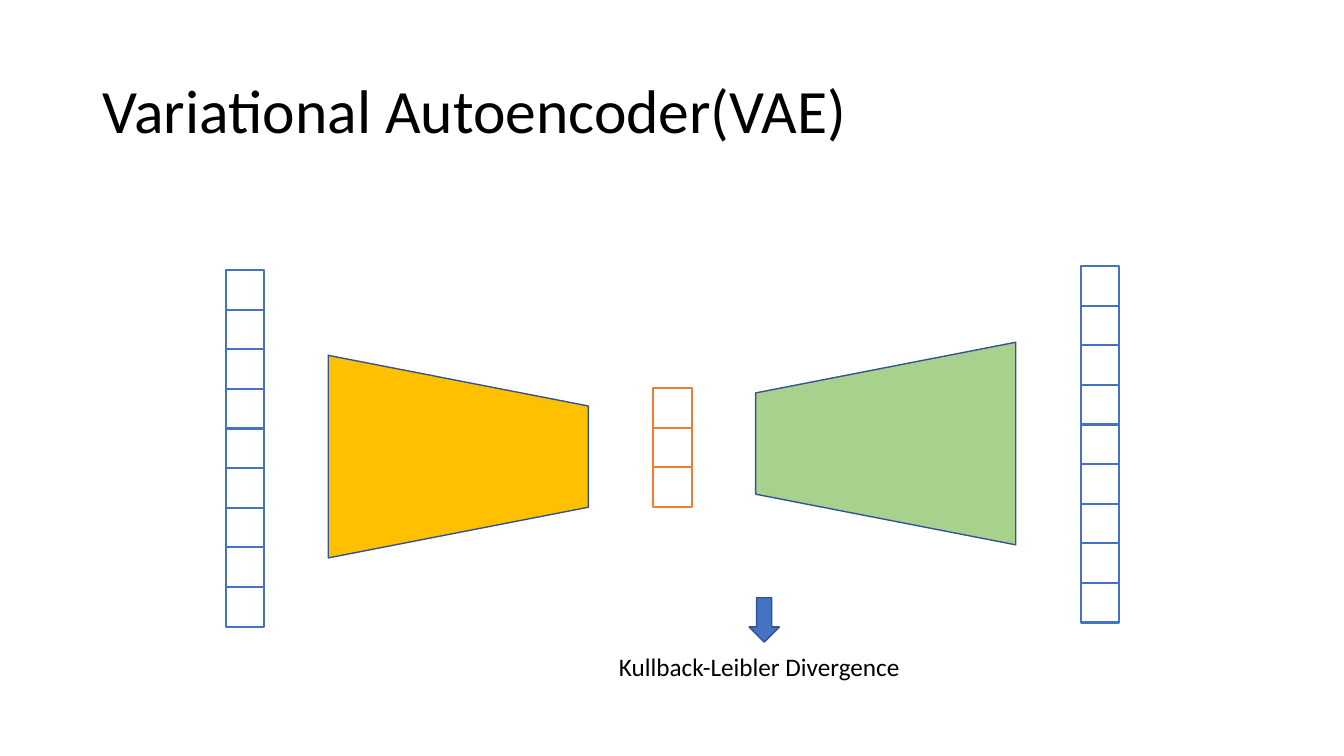
from pptx import Presentation
from pptx.dml.color import RGBColor
from pptx.enum import shapes, text
from pptx.util import Inches, Pt

TITLE = "Variational Autoencoder(VAE)"
LABEL = "Kullback-Leibler Divergence"
HUES = {"ink": "000000", "paper": "FFFFFF", "blue": "4472C4", "navy": "325491",
        "orange": "ED7D31", "gold": "FFC000", "green": "A9D18E"}
CELL_W, CELL_H = 0.38, 0.393

# left, top, cell count, line colour
VECTORS = [(6.48, 3.85, 3, "orange"),
           (2.24, 2.68, 9, "blue"),
           (10.72, 2.64, 9, "blue")]
# left, top, rotation, fill
CODERS = [(3.54, 3.24, 90, "gold"),
          (7.78, 3.11, 270, "green")]
CODER_SIZE = (2.01, 2.58)

KIND = shapes.MSO_SHAPE


def color(name):
    return RGBColor.from_string(HUES[name])


def place(item, box):
    item.left, item.top, item.width, item.height = map(Inches, box)


def write(frame, words, size, spacing=None, anchor=None, wrap=True):
    frame.word_wrap = wrap
    frame.vertical_anchor = anchor
    para = frame.paragraphs[0]
    para.line_spacing = spacing
    para.alignment = text.PP_ALIGN.LEFT
    run = para.add_run()
    run.text = words
    run.font.size = Pt(size)
    run.font.name = "Calibri"
    run.font.color.rgb = color("ink")


def draw(slide, kind, box, fill, line="navy", weight=1, turn=0):
    item = slide.shapes.add_shape(kind, *map(Inches, box))
    item.shadow.inherit = False
    item.fill.solid()
    item.fill.fore_color.rgb = color(fill)
    item.line.color.rgb = color(line)
    item.line.width = Pt(weight)
    item.rotation = turn


def main():
    deck = Presentation()
    deck.slide_width, deck.slide_height = Inches(13.33), Inches(7.5)
    slide = deck.slides.add_slide(deck.slide_layouts[5])

    title = slide.shapes.title
    place(title, (0.92, 0.4, 11.5, 1.45))
    write(title.text_frame, TITLE, 44, spacing=0.9, anchor=text.MSO_ANCHOR.MIDDLE)

    for left, top, turn, fill in CODERS:
        draw(slide, KIND.TRAPEZOID, (left, top, *CODER_SIZE), fill, turn=turn)

    for left, top, count, line in VECTORS:
        for row in range(count):
            box = (left, top + row * CELL_H, CELL_W, CELL_H)
            draw(slide, KIND.RECTANGLE, box, "paper", line, 1.5)

    draw(slide, KIND.DOWN_ARROW, (7.43, 5.93, 0.3, 0.44), "blue")
    label = slide.shapes.add_textbox(*map(Inches, (6.04, 6.41, 3.08, 0.4)))
    write(label.text_frame, LABEL, 18, wrap=False)

    deck.save("out.pptx")


if __name__ == "__main__":
    main()
